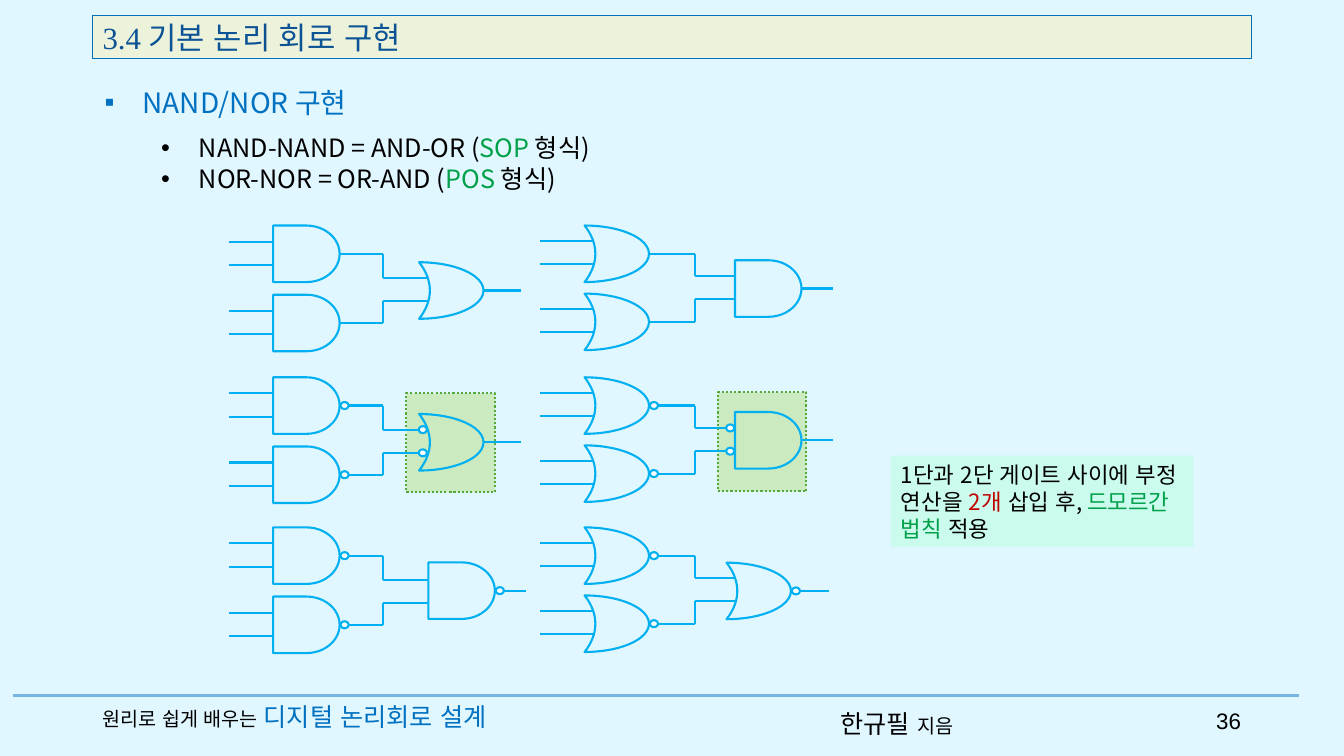
from lxml import etree
from pptx import Presentation
from pptx.dml.color import RGBColor
from pptx.enum.dml import MSO_LINE_DASH_STYLE as Dash
from pptx.enum.lang import MSO_LANGUAGE_ID as Language
from pptx.enum.shapes import MSO_CONNECTOR as Connector, MSO_SHAPE as Shape
from pptx.enum.text import MSO_ANCHOR as Anchor, PP_ALIGN as Align
from pptx.oxml.ns import qn
from pptx.util import Pt

COLORS = {
    "background": "E1F7FF", "divider": "78B3E3", "wire": "00B0F0", "white": "FFFFFF",
    "title_fill": "EDF3DB", "title": "0B5394", "blue": "0070C0", "black": "000000",
    "green": "00A048", "red": "C00000", "note_fill": "CAFBED",
    "highlight": "CBEAC0", "highlight_line": "55A839",
}
KOREAN, SERIF, SANS = "Noto Sans CJK KR", "Times New Roman", "Arial"

# Text: each paragraph is a list of (text, size, color)
TITLE = [[("3.4 기본 논리 회로 구현", 22, "title")]]
HEADING = [[("NAND/NOR 구현", 20, "blue")]]
FORMS = [
    [("NAND-NAND = AND-OR (", 18, "black"), ("SOP ", 18, "green"), ("형식)", 18, "black")],
    [("NOR-NOR = OR-AND (", 18, "black"), ("POS", 18, "green"), (" 형식)", 18, "black")],
]
NOTE = [[
    ("1단과 2단 게이트 사이에 부정 연산을 ", 16, "black"), ("2개", 16, "red"),
    (" 삽입 후, ", 16, "black"), ("드모르간 법칙 ", 16, "green"), ("적용", 16, "black"),
]]
BOOK = [[("원리로 쉽게 배우는 ", 14, "black"), ("디지털 논리회로 설계", 18, "blue")]]
AUTHOR = [[("한규필 ", 18, "black"), ("지음", 14, "black")]]
PAGE = [[("36", 16, "black")]]

# Gate kinds: preset shape and width
GATES = {"and": (Shape.FLOWCHART_DELAY, 47.5), "or": (Shape.MOON, 46)}
GATE_HEIGHT = 40.4

# Columns: x positions, then y offsets from the top of the circuit
COLUMNS = {
    "sum": dict(first="and", start=163.4, gate=195.1, input_end=195.1, bus=273.6,
                inputs=(11.5, 28.3), second=49.4, joins=(37.4, 54), highlight=(290.2, 11.5),
                bubble=302),
    "product": dict(first="or", start=385.9, gate=417.6, input_end=424.1, bus=496.3,
                    inputs=(11, 27.7), second=48.6, joins=(36.2, 52.8), highlight=(512.6, 10.8),
                    bubble=521.6),
}
# Circuits: column, top, inverted first stage, final gate, its x and y offset,
# end of the entering wires, end of the output wire, inverted inputs, inverted output
CIRCUITS = [
    ("sum", 161.1, False, "or", 299.4, 26.2, 306, 372.2, False, False),
    ("product", 161.1, False, "and", 525, 24.8, 525, 594.7, False, False),
    ("sum", 269.5, True, "or", 299.4, 26.2, 306, 372.2, True, False),
    ("product", 269.5, True, "and", 525, 24.8, 525, 594.7, True, False),
    ("sum", 376.7, True, "and", 306, 25, 306, 375.8, False, True),
    ("product", 376.7, True, "or", 519, 25.2, 525, 592.4, False, True),
]

presentation = Presentation()
presentation.slide_width, presentation.slide_height = Pt(960), Pt(540)
slide = presentation.slides.add_slide(presentation.slide_layouts[6])
slide.background.fill.solid()
slide.background.fill.fore_color.rgb = RGBColor.from_string(COLORS["background"])


def add_box(kind, left, top, width, height, fill=None, line=None, weight=1.5):
    shape = slide.shapes.add_shape(kind, Pt(left), Pt(top), Pt(width), Pt(height))
    shape.shadow.inherit = False
    if fill:
        shape.fill.solid()
        shape.fill.fore_color.rgb = RGBColor.from_string(COLORS[fill])
    else:
        shape.fill.background()
    if line:
        shape.line.color.rgb = RGBColor.from_string(COLORS[line])
        shape.line.width = Pt(weight)
    else:
        shape.line.fill.background()
    return shape


def add_wire(x1, y1, x2, y2, color="wire", weight=1.5):
    wire = slide.shapes.add_connector(Connector.STRAIGHT, Pt(x1), Pt(y1), Pt(x2), Pt(y2))
    wire.line.color.rgb = RGBColor.from_string(COLORS[color])
    wire.line.width = Pt(weight)
    etree.SubElement(wire._element.spPr, qn("a:effectLst"))


def add_gate(kind, left, top):
    preset, width = GATES[kind]
    gate = add_box(preset, left, top, width, GATE_HEIGHT, line="wire")
    if kind == "or":
        gate.adjustments[0] = 0.833
        gate._element.spPr.get_or_add_xfrm().set("flipH", "1")
    return left + width, top + GATE_HEIGHT / 2


def add_bubble(x, y):
    add_box(Shape.OVAL, x - 2.9, y - 2.5, 5.8, 5, "white", "wire")


def write(shape, paragraphs, font=KOREAN, spacing=None, anchor=Anchor.TOP,
          align=Align.LEFT, bullet=None, margin=0):
    frame = shape.text_frame
    frame.word_wrap = True
    frame.vertical_anchor = anchor
    for index, pieces in enumerate(paragraphs):
        paragraph = frame.add_paragraph() if index else frame.paragraphs[0]
        paragraph.alignment = align
        if spacing:
            paragraph.line_spacing = Pt(spacing)
        if bullet:
            properties = paragraph._p.get_or_add_pPr()
            properties.set("marL", str(Pt(margin)))
            properties.set("indent", str(-Pt(27)))
            etree.SubElement(properties, qn("a:buFont")).set("typeface", SANS)
            etree.SubElement(properties, qn("a:buChar")).set("char", bullet)
        for text, size, color in pieces:
            run = paragraph.add_run()
            run.text = text
            run.font.size = Pt(size)
            run.font.color.rgb = RGBColor.from_string(COLORS[color])
            run.font.name = font
            run.font.language_id = Language.KOREAN
            east_asian = etree.Element(qn("a:ea"))
            east_asian.set("typeface", KOREAN)
            run._r.rPr.find(qn("a:latin")).addnext(east_asian)


def add_text(left, top, width, height, paragraphs, **style):
    box = slide.shapes.add_textbox(Pt(left), Pt(top), Pt(width), Pt(height))
    write(box, paragraphs, **style)


def add_circuit(column, top, inverted, final, final_x, final_y, join_end, output_end,
                invert_inputs, invert_output):
    place = COLUMNS[column]
    bus = place["bus"]
    if invert_inputs:
        x, offset = place["highlight"]
        area = add_box(Shape.RECTANGLE, x, top + offset, 63.4, 70.6,
                       "highlight", "highlight_line")
        area.line.dash_style = Dash.ROUND_DOT
    # First stage: two gates with two inputs each, wired to the final gate
    for gate_top, join in zip((top, top + place["second"]), place["joins"]):
        join_y = top + join
        right, middle = add_gate(place["first"], place["gate"], gate_top)
        for offset in place["inputs"]:
            add_wire(place["start"], gate_top + offset, place["input_end"], gate_top + offset)
        add_wire(right, middle, bus, middle)
        add_wire(bus, middle, bus, join_y)
        add_wire(bus, join_y, join_end, join_y)
        if inverted:
            add_bubble(right + 3.5, middle)
        if invert_inputs:
            add_bubble(place["bubble"], join_y)
    # Second stage
    right, middle = add_gate(final, final_x, top + final_y)
    add_wire(right, middle, output_end, middle)
    if invert_output:
        add_bubble(right + 3.5, middle)


# Title and body text
title = add_box(Shape.RECTANGLE, 66.2, 10.8, 828, 31, "title_fill", "blue", 0.75)
write(title, TITLE, font=SERIF, anchor=Anchor.MIDDLE)
add_text(67.7, 56.9, 828, 31.7, HEADING, spacing=24.5, bullet="▪", margin=27)
add_text(72, 90.7, 819.4, 51.1, FORMS, spacing=22, bullet="•", margin=63)

# Logic circuits
for circuit in CIRCUITS:
    add_circuit(*circuit)

# Note
note = add_box(Shape.RECTANGLE, 636.5, 325.4, 216, 65.5, "note_fill")
write(note, NOTE, spacing=19.4)

# Footer
add_wire(9.4, 496.8, 928.1, 496.8, "divider", 2.5)
add_text(66.2, 496.8, 333.4, 28.8, BOOK, font=SERIF, spacing=22)
add_text(593.3, 502.6, 110.2, 28.8, AUTHOR, spacing=21.6)
add_text(848.9, 500.4, 44.6, 28.8, PAGE, font=SANS, anchor=Anchor.MIDDLE, align=Align.RIGHT)

presentation.save("out.pptx")
